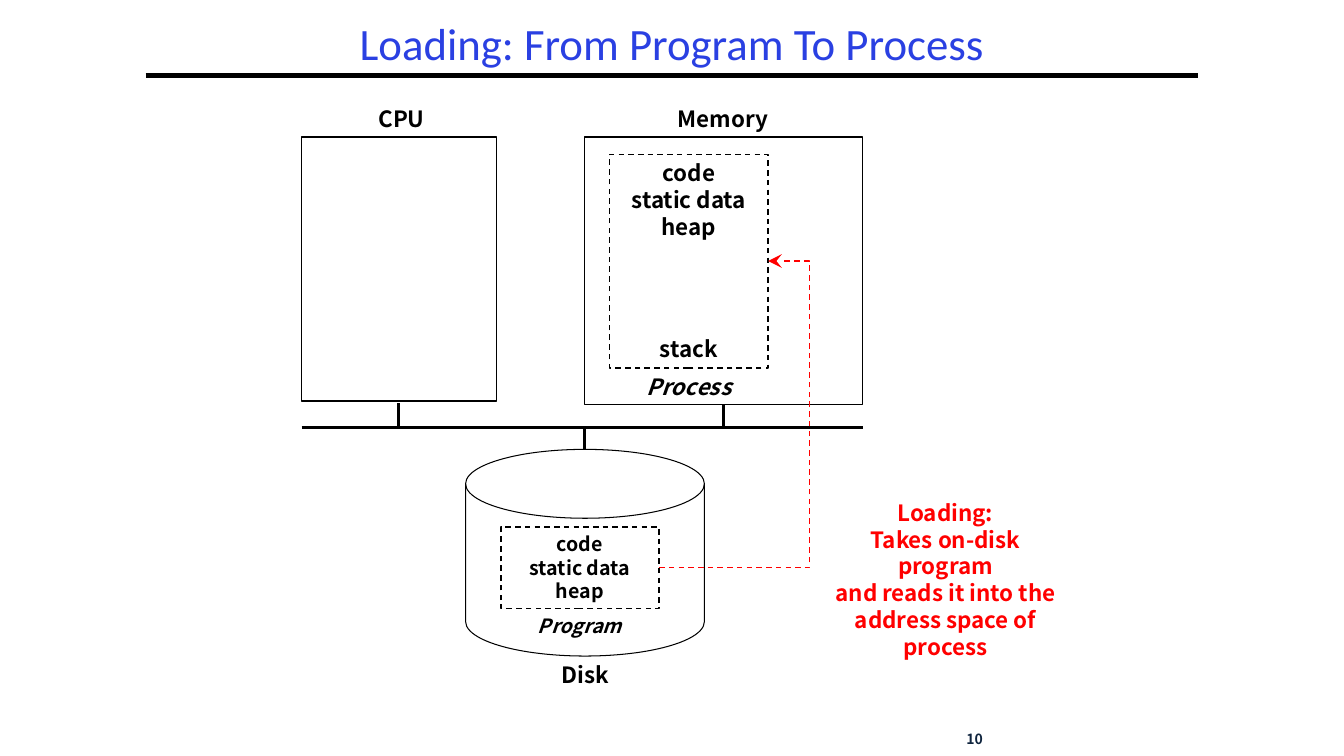
from dataclasses import dataclass

from lxml import etree
from pptx import Presentation
from pptx.dml.color import RGBColor
from pptx.enum import dml, shapes, text
from pptx.oxml import ns
from pptx.util import Pt


@dataclass(frozen=True)
class Theme:
    title_font: str = "Calibri"
    body_font: str = "Noto Sans CJK KR"
    title: str = "2A40E2"
    ink: str = "000000"
    accent: str = "FF0000"
    paper: str = "FFFFFF"
    number: str = "0F243E"
    title_size: int = 32
    label_size: int = 16
    small_size: int = 14
    number_size: int = 10
    leading: float = 1.2


T = Theme()
CENTER, RIGHT = text.PP_ALIGN.CENTER, text.PP_ALIGN.RIGHT
ITEM_W, LABEL_H = 113, 26.6


def rgb(color):
    return RGBColor.from_string(color)


def set_line(line, color, width, dashed=False):
    line.color.rgb = rgb(color)
    line.width = Pt(width)
    if dashed:
        line.dash_style = dml.MSO_LINE.DASH


def add_title(slide, words, left, top, width, height):
    sp = slide.shapes.title
    sp.left, sp.top, sp.width, sp.height = map(Pt, (left, top, width, height))
    tf = sp.text_frame
    tf.text = words
    tf.vertical_anchor = text.MSO_ANCHOR.MIDDLE
    p = tf.paragraphs[0]
    p.alignment, p.line_spacing = CENTER, 0.9
    p.font.name, p.font.size = T.title_font, Pt(T.title_size)
    p.font.color.rgb = rgb(T.title)


def add_label(slide, lines, left, top, width=ITEM_W, height=LABEL_H,
              size=T.label_size, color=T.ink, italic=False, align=CENTER,
              anchor=text.MSO_ANCHOR.TOP):
    sp = slide.shapes.add_textbox(*map(Pt, (left, top, width, height)))
    tf = sp.text_frame
    tf.word_wrap = True
    tf.vertical_anchor = anchor
    tf.text = "\n".join(lines)
    for p in tf.paragraphs:
        p.alignment, p.line_spacing = align, Pt(size * T.leading)
        p.font.name, p.font.size = T.body_font, Pt(size)
        p.font.bold, p.font.italic = True, italic
        p.font.color.rgb = rgb(color)


def add_box(slide, left, top, width, height, line_width=1, dashed=False,
            kind=shapes.MSO_SHAPE.RECTANGLE):
    sp = slide.shapes.add_shape(kind, *map(Pt, (left, top, width, height)))
    sp.shadow.inherit = False
    sp.fill.solid()
    sp.fill.fore_color.rgb = rgb(T.paper)
    set_line(sp.line, T.ink, line_width, dashed)


def add_line(slide, x1, y1, x2, y2, width=2, color=T.ink, dashed=False,
             kind=shapes.MSO_CONNECTOR.STRAIGHT):
    cxn = slide.shapes.add_connector(kind, *map(Pt, (x1, y1, x2, y2)))
    set_line(cxn.line, color, width, dashed)
    etree.SubElement(cxn._element.spPr, ns.qn("a:effectLst"))
    return cxn


def add_loading_arrow(slide, x1, y1, x2, y2, bend_x):
    cxn = add_line(slide, x1, y1, x2, y2, 1, T.accent, True,
                   shapes.MSO_CONNECTOR.ELBOW)
    # Bend position as a share of the connector's width
    bend = round((bend_x - x1) / (x2 - x1) * 100000)
    guides = cxn._element.spPr.find(ns.qn("a:prstGeom")).get_or_add_avLst()
    etree.SubElement(guides, ns.qn("a:gd"), name="adj1", fmla=f"val {bend}")
    ln = cxn._element.spPr.find(ns.qn("a:ln"))
    etree.SubElement(ln, ns.qn("a:tailEnd"), type="stealth", w="lg", len="lg")


def main():
    prs = Presentation()
    prs.slide_width, prs.slide_height = Pt(960), Pt(540)
    slide = prs.slides.add_slide(prs.slide_layouts[5])

    # Heading and slide number
    add_line(slide, 104, 54, 856, 54, 3)
    add_title(slide, "Loading: From Program To Process", 104, 12.2, 752, 41.8)
    add_label(slide, ["10 "], 627, 519, 84.3, 17.4, T.number_size, T.number,
              align=RIGHT, anchor=text.MSO_ANCHOR.MIDDLE)

    # Memory holding the process
    sections = ["code", "static data", "heap"]
    process_x, process_y, process_h = 435.6, 110.2, 152.6
    process_end = process_y + process_h
    add_box(slide, 417.6, 98, 198.7, 190.8)
    add_box(slide, process_x, process_y, ITEM_W, process_h, dashed=True)
    add_label(slide, sections, process_x, process_y, height=67.7)
    add_label(slide, ["stack"], process_x, process_end - LABEL_H)
    add_label(slide, ["Process"], process_x, process_end, italic=True)
    add_label(slide, ["Memory"], 460, 71.3)

    # CPU
    add_box(slide, 215.5, 98, 139, 188.6)
    add_label(slide, ["CPU"], 230.4, 71.3)

    # Bus and its branches
    bus_y = 305.5
    add_line(slide, 215.5, bus_y, 616.3, bus_y)
    for x, y in ((284.4, 288), (517, 289.4), (417.6, 321)):
        add_line(slide, x, y, x, bus_y)

    # Disk holding the program
    program_x, program_y, program_h = 357.8, 376.4, 58.3
    add_box(slide, 332.6, 321, 170.6, 147.6, 0.75,
            kind=shapes.MSO_SHAPE.FLOWCHART_MAGNETIC_DISK)
    add_box(slide, program_x, program_y, ITEM_W, program_h, dashed=True)
    add_label(slide, sections, program_x, program_y, height=program_h,
              size=T.small_size)
    add_label(slide, ["Program"], program_x, program_y + program_h,
              height=24.5, size=T.small_size, italic=True)
    add_label(slide, ["Disk"], 361.4, 468.7)

    # Loading step
    add_loading_arrow(slide, program_x + ITEM_W, program_y + program_h / 2,
                      process_x + ITEM_W, 186.5, 578.2)
    add_label(slide, ["Loading:", "Takes on-disk program",
                      "and reads it into the address space of process"],
              581.8, 352.8, 187.2, 123.8, color=T.accent)

    prs.save("out.pptx")


if __name__ == "__main__":
    main()
